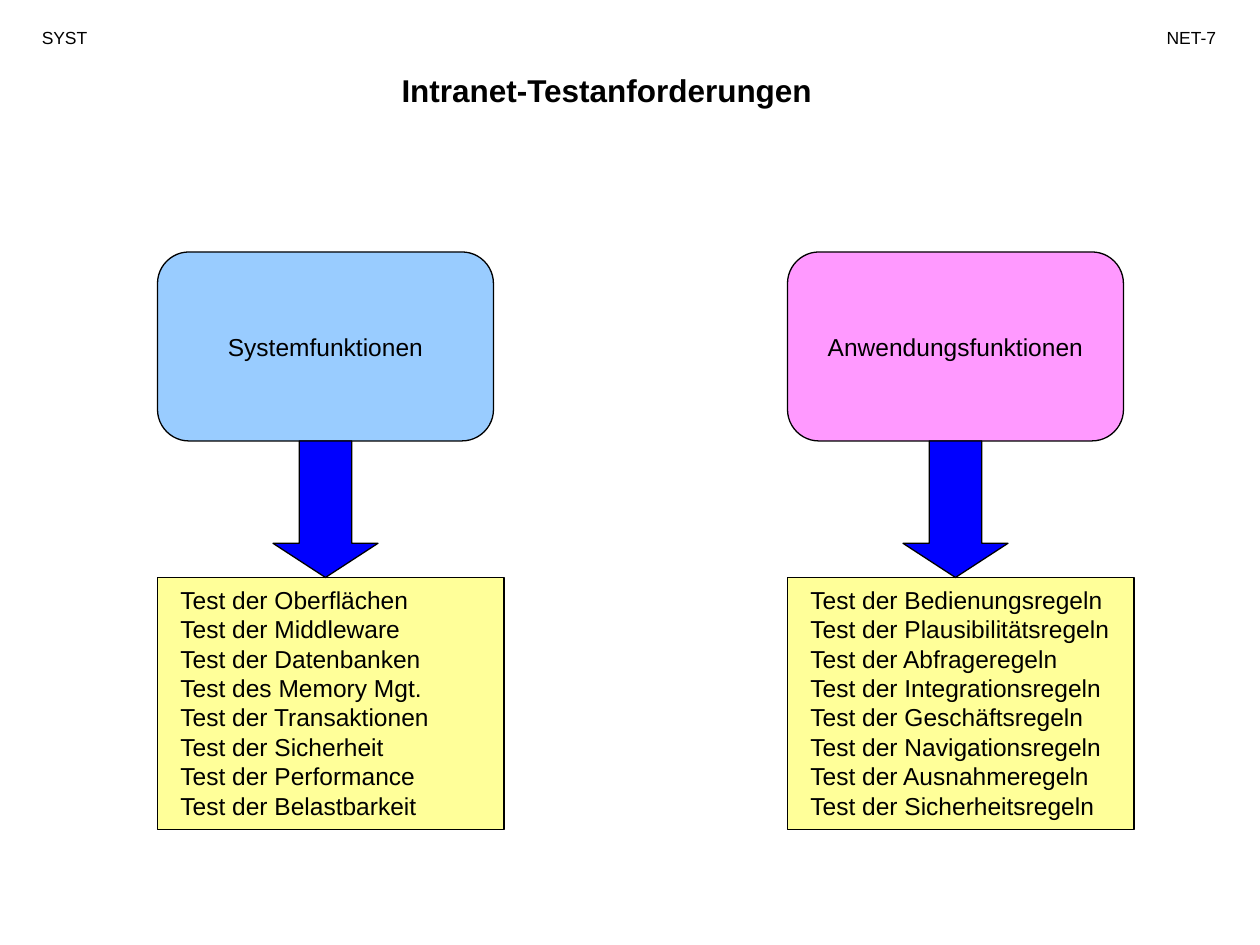
"""Build the slide on intranet test requirements."""
from dataclasses import dataclass

from pptx import Presentation
from pptx import util as u
from pptx.dml.color import RGBColor
from pptx.enum import shapes, text

CELL = u.Inches(10) / 120
KIND = shapes.MSO_SHAPE
SIDE = text.PP_ALIGN


@dataclass
class Box:
    """Place and size in grid columns and rows."""
    col: float
    row: float
    wide: float
    high: float

    def emu(self) -> list[u.Emu]:
        """Return the four lengths for python-pptx."""
        return [u.Emu(round(n * CELL))
                for n in (self.col, self.row, self.wide, self.high)]


@dataclass
class Branch:
    """One column of the chart: a topic and its tests."""
    col: int
    topic: str
    fill: str
    tests: list[str]


@dataclass
class Label:
    """A line of text in the head of the slide."""
    words: str
    box: Box
    size: int
    side: SIDE
    bold: bool = False


LABELS = [
    Label("Intranet-Testanforderungen", Box(14.6, 6.2, 86.4, 4.8), 18,
          SIDE.CENTER, True),
    Label("SYST", Box(2.8, 2, 13.2, 3.2), 10, SIDE.LEFT),
    Label("NET-7", Box(105, 2, 12, 3.2), 10, SIDE.RIGHT),
]
BRANCHES = [
    Branch(15, "Systemfunktionen", "99CCFF", [
        "Test der Oberflächen", "Test der Middleware",
        "Test der Datenbanken", "Test des Memory Mgt.",
        "Test der Transaktionen", "Test der Sicherheit",
        "Test der Performance", "Test der Belastbarkeit"]),
    Branch(75, "Anwendungsfunktionen", "FF99FF", [
        "Test der Bedienungsregeln", "Test der Plausibilitätsregeln",
        "Test der Abfrageregeln", "Test der Integrationsregeln",
        "Test der Geschäftsregeln", "Test der Navigationsregeln",
        "Test der Ausnahmeregeln", "Test der Sicherheitsregeln"]),
]


def paint(code: str) -> RGBColor:
    """Turn a hex string into a colour."""
    return RGBColor.from_string(code)


def write(frame, words: str, size: int, side: SIDE, bold: bool = False):
    """Fill a text frame with one paragraph and return it."""
    para = frame.paragraphs[0]
    para.text = words
    para.alignment = side
    for run in para.runs:
        run.font.name = "Arial"
        run.font.size = u.Pt(size)
        run.font.bold = bold
        run.font.color.rgb = paint("000000")
    return para


def draw(slide, kind: KIND, box: Box, fill: str):
    """Add a filled shape with a thin black outline."""
    item = slide.shapes.add_shape(kind, *box.emu())
    item.shadow.inherit = False
    item.fill.solid()
    item.fill.fore_color.rgb = paint(fill)
    item.line.color.rgb = paint("000000")
    item.line.width = u.Pt(0.75)
    return item


def label(slide, spec: Label):
    """Add a wrapped text box and return its paragraph."""
    frame = slide.shapes.add_textbox(*spec.box.emu()).text_frame
    frame.word_wrap = True
    return write(frame, spec.words, spec.size, spec.side, spec.bold)


def branch(slide, part: Branch) -> None:
    """Draw the panel, topic, arrow and test list of a branch."""
    draw(slide, KIND.RECTANGLE, Box(part.col, 55, 33, 24), "FFFF99")
    topic = draw(slide, KIND.ROUNDED_RECTANGLE,
                 Box(part.col, 24, 32, 18), part.fill)
    topic.text_frame.word_wrap = False
    topic.text_frame.vertical_anchor = text.MSO_ANCHOR.MIDDLE
    write(topic.text_frame, part.topic, 14, SIDE.CENTER)
    arrow = draw(slide, KIND.DOWN_ARROW,
                 Box(part.col + 11, 42, 10, 13), "0000FF")
    arrow.adjustments[1] = 0.325
    tests = label(slide, Label("\v".join(part.tests),
                               Box(part.col + 1, 55.1, 31.2, 23.6),
                               14, SIDE.LEFT))
    tests.line_spacing = u.Pt(16.8)


def main() -> None:
    """Build and save the slide."""
    deck = Presentation()
    deck.slide_width, deck.slide_height = u.Inches(10), u.Inches(7.5)
    slide = deck.slides.add_slide(deck.slide_layouts[6])
    for item in LABELS:
        label(slide, item)
    for part in BRANCHES:
        branch(slide, part)
    deck.save("out.pptx")


if __name__ == "__main__":
    main()
